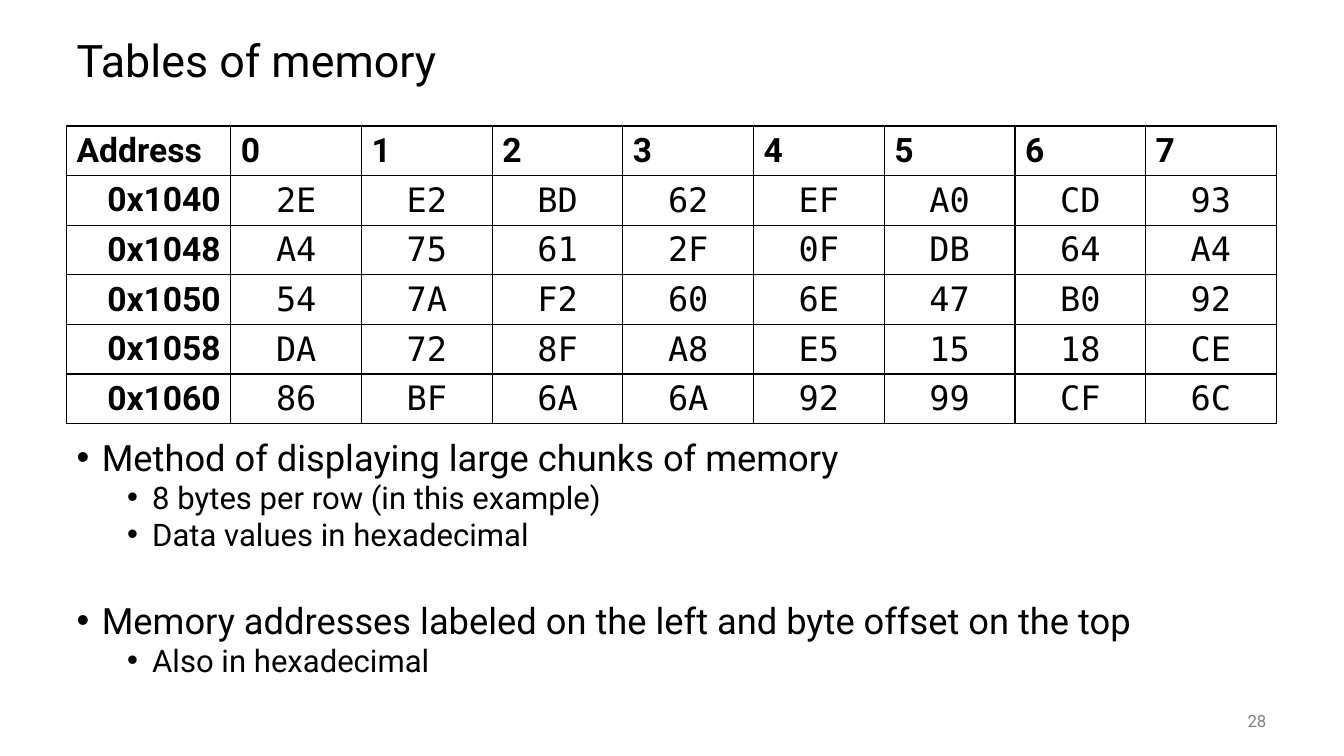
from lxml import etree
from pptx import Presentation, util as u
from pptx.dml.color import RGBColor
from pptx.enum import text as t
from pptx.oxml import ns

COLORS = {"ink": "000000", "number": "808080"}
SANS, MONO = "Roboto", "DejaVu Sans Mono"
MEMORY = {
    "0x1040": "2E E2 BD 62 EF A0 CD 93",
    "0x1048": "A4 75 61 2F 0F DB 64 A4",
    "0x1050": "54 7A F2 60 6E 47 B0 92",
    "0x1058": "DA 72 8F A8 E5 15 18 CE",
    "0x1060": "86 BF 6A 6A 92 99 CF 6C",
}
POINTS = [
    (0, "Method of displaying large chunks of memory", 0),
    (1, "8 bytes per row (in this example)", 5),
    (1, "Data values in hexadecimal", 5),
    (0, "Memory addresses labeled on the left and byte offset on the top", 39),
    (1, "Also in hexadecimal", 5),
]


def write(para, words, size=24, font=SANS, color="ink", bold=False,
          align=t.PP_ALIGN.LEFT, spacing=None, before=0):
    """Add one formatted span of text to a paragraph."""
    para.alignment = align
    para.space_before = u.Pt(before)
    if spacing:
        para.line_spacing = spacing
    span = para.add_run()
    span.text = words
    span.font.size = u.Pt(size)
    span.font.name = font
    span.font.bold = bold
    span.font.color.rgb = RGBColor.from_string(COLORS[color])


def place(shape, box, anchor):
    """Move a text shape to its box and return its text frame."""
    shape.left, shape.top, shape.width, shape.height = map(u.Inches, box)
    frame = shape.text_frame
    frame.word_wrap = True
    frame.auto_size = t.MSO_AUTO_SIZE.NONE
    frame.vertical_anchor = anchor
    return frame


def add_title(page, box):
    """Fill the title placeholder."""
    frame = place(page.shapes.title, box, t.MSO_ANCHOR.MIDDLE)
    write(frame.paragraphs[0], "Tables of memory", size=32, spacing=0.9)


def add_points(page, box):
    """Fill the body placeholder with two levels of bullets."""
    frame = place(page.placeholders[1], box, t.MSO_ANCHOR.TOP)
    for index, (level, words, before) in enumerate(POINTS):
        para = frame.add_paragraph() if index else frame.paragraphs[0]
        para.level = level
        props = para._p.get_or_add_pPr()
        props.set("marL", str(u.Inches(0.25 + 0.5 * level)))
        props.set("indent", str(u.Inches(-0.25)))
        etree.SubElement(props, ns.qn("a:buFont")).set("typeface", "Arial")
        etree.SubElement(props, ns.qn("a:buChar")).set("char", "•")
        write(para, words, size=22.2 if level else 25.9, spacing=0.8, before=before)


def add_borders(cell):
    """Draw a thin line on each side of a table cell."""
    props = cell._tc.get_or_add_tcPr()
    for index, side in enumerate(("lnL", "lnR", "lnT", "lnB")):
        line = etree.Element(ns.qn(f"a:{side}"), w=str(u.Pt(1)))
        fill = etree.SubElement(line, ns.qn("a:solidFill"))
        etree.SubElement(fill, ns.qn("a:srgbClr")).set("val", COLORS["ink"])
        props.insert(index, line)


def add_memory_table(page, box):
    """Build the table of addresses, byte offsets and byte values."""
    left, top, width, height = box
    rows = [["Address", *"01234567"]]
    rows += [[address, *values.split()] for address, values in MEMORY.items()]
    grid = page.shapes.add_table(len(rows), len(rows[0]), *map(u.Inches, box)).table
    grid.horz_banding = False
    address_width = 1.63
    for index, column in enumerate(grid.columns):
        column.width = u.Inches((width - address_width) / 8 if index else address_width)
    for r, row in enumerate(rows):
        grid.rows[r].height = u.Inches(height / len(rows))
        for c, words in enumerate(row):
            cell = grid.cell(r, c)
            cell.fill.background()
            cell.vertical_anchor = t.MSO_ANCHOR.BOTTOM
            add_borders(cell)
            para = cell.text_frame.paragraphs[0]
            if r == 0:
                write(para, words, bold=True)
            elif c == 0:
                write(para, words, bold=True, align=t.PP_ALIGN.RIGHT)
            else:
                write(para, words, font=MONO, align=t.PP_ALIGN.CENTER)


def add_page_number(page, box):
    """Place the page number at the lower right."""
    shape = page.shapes.add_textbox(*map(u.Inches, box))
    frame = place(shape, box, t.MSO_ANCHOR.MIDDLE)
    write(frame.paragraphs[0], "28", size=12, color="number", align=t.PP_ALIGN.RIGHT)


def main():
    """Build the deck and save it."""
    deck = Presentation()
    deck.slide_width, deck.slide_height = u.Inches(13.33), u.Inches(7.5)
    page = deck.slides.add_slide(deck.slide_layouts[1])
    left, width = 0.66, 12
    add_title(page, (left, 0.25, width, 0.75))
    add_points(page, (left, 4.35, width, 2.6))
    add_page_number(page, (left + width - 1, 6.95, 1, 0.4))
    add_memory_table(page, (left, 1.25, width, 2.95))
    deck.save("out.pptx")


if __name__ == "__main__":
    main()
